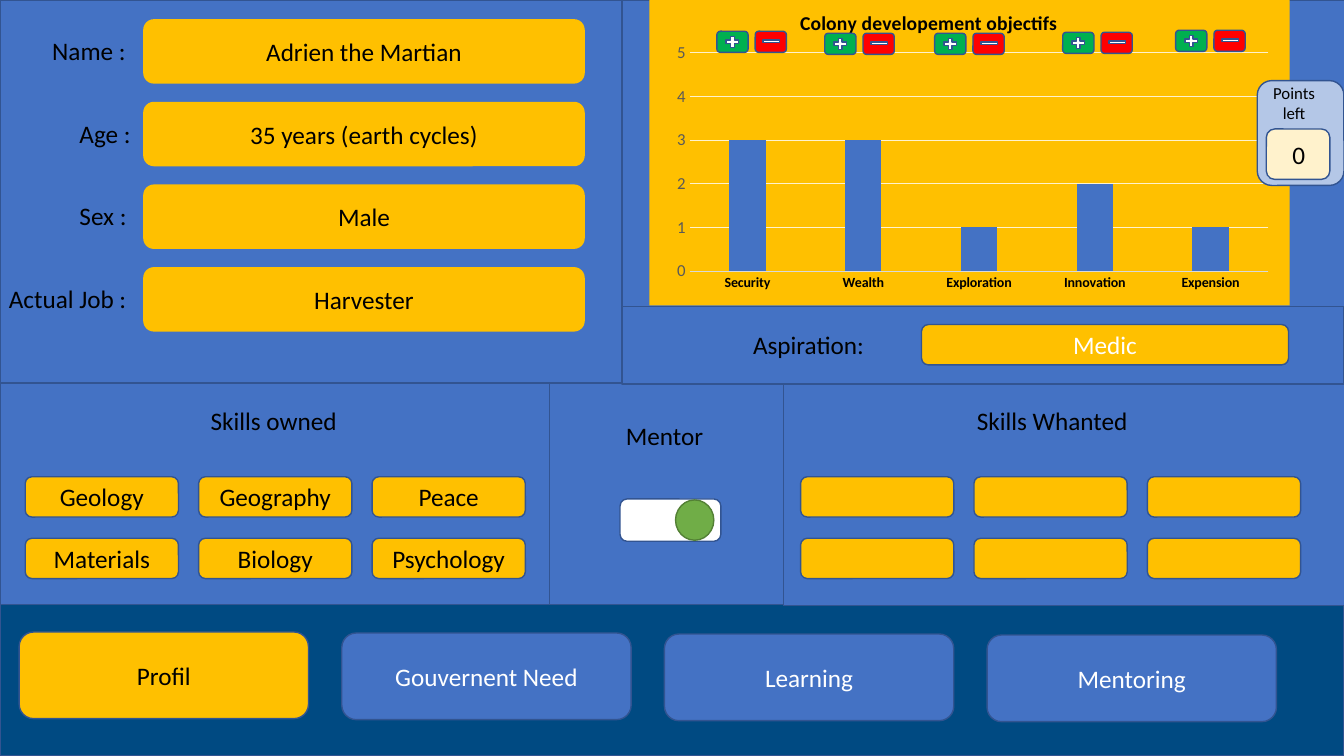
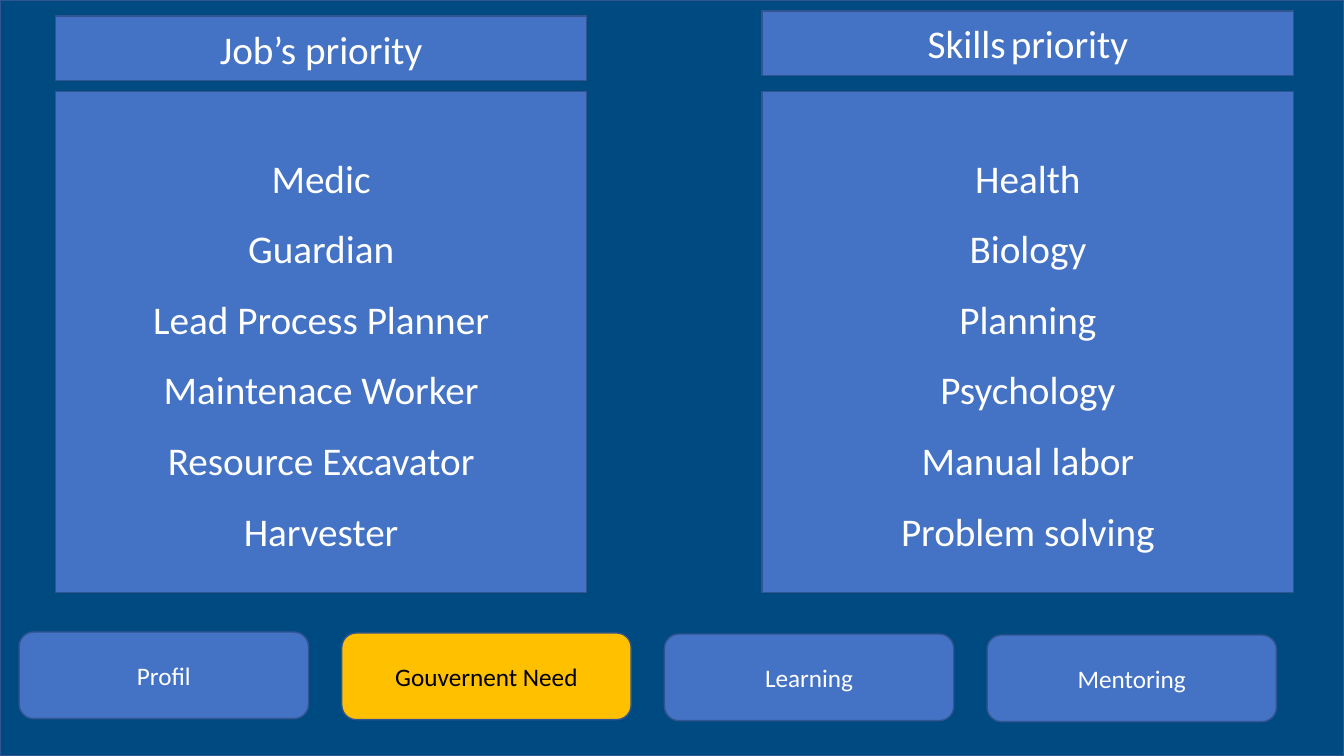
from pptx import Presentation
from pptx.chart.data import CategoryChartData
from pptx.dml.color import RGBColor
from pptx.enum.chart import XL_CHART_TYPE, XL_TICK_MARK
from pptx.enum.shapes import MSO_SHAPE
from pptx.enum.text import MSO_ANCHOR, PP_ALIGN
from pptx.oxml import parse_xml
from pptx.oxml.ns import nsdecls, qn
from pptx.util import Inches, Pt

NAVY = RGBColor(0x00, 0x4A, 0x82)
BLUE = RGBColor(0x44, 0x72, 0xC4)
EDGE = RGBColor(0x32, 0x54, 0x91)
GOLD = RGBColor(0xFF, 0xC0, 0x00)
CREAM = RGBColor(0xFF, 0xF2, 0xCC)
PALE = RGBColor(0xB4, 0xC7, 0xE7)
LIME = RGBColor(0x70, 0xAD, 0x47)
MOSS = RGBColor(0x53, 0x80, 0x35)
GREEN = RGBColor(0x00, 0xB0, 0x50)
RED = RGBColor(0xFF, 0x00, 0x00)
GREY = RGBColor(0x59, 0x59, 0x59)
SILVER = RGBColor(0xD9, 0xD9, 0xD9)
WHITE = RGBColor(0xFF, 0xFF, 0xFF)
BLACK = RGBColor(0x00, 0x00, 0x00)

FONT = "Calibri"
RECT, ROUND = MSO_SHAPE.RECTANGLE, MSO_SHAPE.ROUNDED_RECTANGLE
TABS = ["Profil", "Gouvernent Need", "Learning", "Mentoring"]


# Shared helpers
def put(item, vals):
    for key, val in vals.items():
        setattr(item, key, val)


def style(font, size, color, bold=False):
    put(font, {"name": FONT, "size": Pt(size), "bold": bold})
    font.color.rgb = color


def stroke(line, color, width):
    line.color.rgb = color
    line.width = Pt(width)


def write(frame, lines, size, color, align, space=None):
    """Each line is a string or a list of (text, size) runs."""
    frame.word_wrap = True
    for i, line in enumerate(lines):
        para = frame.add_paragraph() if i else frame.paragraphs[0]
        put(para, {"alignment": align, "line_spacing": space})
        for text, pts in [(line, size)] if isinstance(line, str) else line:
            run = para.add_run()
            run.text = text
            style(run.font, pts, color)


def box(shapes, at, fill, kind=RECT, edge=EDGE, lines=(), size=18,
        color=BLACK, space=None):
    shape = shapes.add_shape(kind, *map(Inches, at))
    shape.shadow.inherit = False
    shape.fill.solid()
    shape.fill.fore_color.rgb = fill
    if edge is None:
        shape.line.fill.background()
    else:
        stroke(shape.line, edge, 1)
    shape.text_frame.vertical_anchor = MSO_ANCHOR.MIDDLE
    write(shape.text_frame, lines, size, color, PP_ALIGN.CENTER, space)
    return shape


def label(shapes, at, text, size=18, align=PP_ALIGN.LEFT):
    area = shapes.add_textbox(*map(Inches, at))
    write(area.text_frame, [text], size, BLACK, align)


def base(deck, active):
    """Navy page with the tab bar, the active tab in gold."""
    shapes = deck.slides.add_slide(deck.slide_layouts[6]).shapes
    box(shapes, (0, 0, 13.33, 7.5), NAVY)
    for i, tab in enumerate(TABS):
        on = tab == active
        box(shapes, (0.19 + 3.2 * i, 6.27 + 0.01 * i, 2.87, 0.86),
            GOLD if on else BLUE, ROUND, lines=[tab],
            color=BLACK if on else WHITE)
    return shapes


# Profile regions
def mentor(shapes, x, y, w, h):
    box(shapes, (x, y, w, h), BLUE)
    label(shapes, (x, y + 0.32, 2.28, 0.4), "Mentor", align=PP_ALIGN.CENTER)
    box(shapes, (x + 0.7, y + 1.15, 1, 0.42), WHITE, ROUND)
    box(shapes, (x + 1.25, y + 1.16, 0.38, 0.4), LIME, MSO_SHAPE.OVAL, MOSS)


def person(shapes, x, y, w, h):
    box(shapes, (x, y, w, h), BLUE)
    rows = [("Name :", "Adrien the Martian", 0.42),
            ("Age :", "35 years (earth cycles)", 0.69),
            ("Sex :", "Male", 0.69),
            ("Actual Job :", "Harvester", -0.01)]
    for i, (name, value, left) in enumerate(rows):
        top = y + 0.19 + 0.82 * i
        box(shapes, (x + 1.42, top, 4.38, 0.64), GOLD, ROUND, None, [value])
        label(shapes, (x + left, top + 0.11, 1.73, 0.4), name)


def skills(shapes, at, title, indent, inset, names):
    x, y = at[:2]
    box(shapes, at, BLUE)
    label(shapes, (x + indent, y + 0.17, 1.88, 0.4), title)
    for i, name in enumerate(names):
        row, col = divmod(i, 3)
        box(shapes, (x + inset + 1.72 * col, y + 0.93 + 0.61 * row,
                     1.52, 0.4), GOLD, ROUND, lines=[name] if name else [])


def hope(shapes, x, y, w, h):
    box(shapes, (x, y, w, h), BLUE)
    label(shapes, (x + 1.2, y + 0.18, 2.31, 0.4), "Aspiration:")
    box(shapes, (x + 2.97, y + 0.18, 3.64, 0.4), GOLD, ROUND,
        lines=["Medic"], color=WHITE)


def layout(parent, index, **vals):
    """Fix the place of a chart part, in fractions of the chart."""
    for old in parent.findall(qn("c:layout")):
        parent.remove(old)
    tags = "".join(f'<c:{k} val="{v}"/>' for k, v in vals.items())
    parent.insert(index, parse_xml(
        f'<c:layout {nsdecls("c")}><c:manualLayout>{tags}'
        '</c:manualLayout></c:layout>'))


def graph(shapes, x, y, w, h):
    data = CategoryChartData()
    data.categories = ["Security", "Wealth", "Exploration", "Innovation",
                       "Expension"]
    data.add_series("Series 1", (3, 3, 1, 2, 1))
    chart = shapes.add_chart(XL_CHART_TYPE.COLUMN_CLUSTERED,
                             *map(Inches, (x, y, w, h)), data).chart
    style(chart.font, 10, BLACK)
    put(chart, {"has_legend": False, "has_title": True})
    title = chart.chart_title.text_frame
    title.text = "Colony developement objectifs"
    style(title.paragraphs[0].runs[0].font, 14, BLACK, True)

    # Columns
    plot = chart.plots[0]
    put(plot, {"gap_width": 219, "overlap": -27, "vary_by_categories": False})
    fill = plot.series[0].format.fill
    fill.solid()
    fill.fore_color.rgb = BLUE

    # Axes
    cat, val = chart.category_axis, chart.value_axis
    for axis in (cat, val):
        put(axis, {"major_tick_mark": XL_TICK_MARK.NONE,
                   "minor_tick_mark": XL_TICK_MARK.NONE})
    put(val, {"minimum_scale": 0, "maximum_scale": 5, "major_unit": 1,
              "has_major_gridlines": True})
    style(cat.tick_labels.font, 10, BLACK, True)
    style(val.tick_labels.font, 12, GREY)
    stroke(cat.format.line, SILVER, 0.75)
    stroke(val.major_gridlines.format.line, CREAM, 0.75)
    val.format.line.fill.background()

    # Background and fixed places
    root = chart._chartSpace.find(qn("c:chart"))
    root.addnext(parse_xml(
        f'<c:spPr {nsdecls("c", "a")}><a:solidFill><a:srgbClr val="{GOLD}"/>'
        '</a:solidFill><a:ln><a:noFill/></a:ln></c:spPr>'))
    layout(root.find(qn("c:title")), 1, xMode="edge", yMode="edge",
           x=0.23, y=0.02)
    layout(root.find(qn("c:plotArea")), 0, layoutTarget="inner",
           xMode="edge", yMode="edge", x=0.063, y=0.173, w=0.904, h=0.715)


def step(shapes, x, y):
    """Plus and minus buttons, grouped."""
    pair = shapes.add_group_shape().shapes
    box(pair, (x, y, 0.31, 0.21), GREEN, ROUND)
    box(pair, (x + 0.38, y, 0.31, 0.21), RED, ROUND)
    box(pair, (x + 0.07, y + 0.03, 0.17, 0.15), WHITE, MSO_SHAPE.MATH_PLUS)
    box(pair, (x + 0.43, y + 0.05, 0.22, 0.1), WHITE, MSO_SHAPE.MATH_MINUS)


def points(shapes, x, y, w, h):
    box(shapes, (x, y, w, h), PALE, ROUND)
    label(shapes, (x - 0.04, y - 0.03, 0.81, 0.5), "Points left", 12,
          PP_ALIGN.CENTER)
    box(shapes, (x + 0.09, y + 0.48, 0.63, 0.5), CREAM, ROUND)
    label(shapes, (x + 0.25, y + 0.53, 0.33, 0.4), "0")


def goals(shapes, x, y, w, h):
    box(shapes, (x, y, w, h), BLUE)
    hope(shapes, x, y + 3.04, 7.16, 0.77)
    graph(shapes, x + 0.27, y, 6.35, 3.03)
    for left, top in [(0.94, 0.31), (2.01, 0.33), (3.1, 0.33),
                      (4.37, 0.32), (5.49, 0.3)]:
        step(shapes, x + left, y + top)
    points(shapes, x + 6.3, y + 0.8, 0.86, 1.04)


# Need region
def ranks(shapes, x, y, w, h, top, title, names):
    box(shapes, (x, y, w, h), BLUE, lines=names, size=28, color=WHITE,
        space=1.5)
    box(shapes, (x, top, w, 0.64), BLUE, lines=[title], size=28, color=WHITE)


# Slides
def profile(deck):
    shapes = base(deck, "Profil")
    mentor(shapes, 5.45, 3.8, 2.35, 2.2)
    person(shapes, 0, 0, 6.17, 3.8)
    skills(shapes, (7.77, 3.8, 5.57, 2.21), "Skills Whanted", 1.82, 0.17,
           [""] * 6)
    goals(shapes, 6.17, 0, 7.17, 3.09)
    skills(shapes, (0, 3.8, 5.45, 2.2), "Skills owned", 1.99, 0.25,
           ["Geology", "Geography", "Peace",
            "Materials", "Biology", "Psychology"])


def need(deck):
    shapes = base(deck, "Gouvernent Need")
    ranks(shapes, 0.55, 0.91, 5.27, 4.97, 0.16, "Job’s priority",
          ["Medic", "Guardian", "Lead Process Planner", "Maintenace Worker",
           "Resource Excavator", "Harvester"])
    ranks(shapes, 7.56, 0.91, 5.27, 4.97, 0.11,
          [("Skills", 28), (" ", 16), ("priority", 28)],
          ["Health", "Biology", "Planning", "Psychology", "Manual labor",
           "Problem solving"])


def main():
    deck = Presentation()
    put(deck, {"slide_width": Inches(13.33), "slide_height": Inches(7.5)})
    profile(deck)
    need(deck)
    deck.save("out.pptx")


if __name__ == "__main__":
    main()
